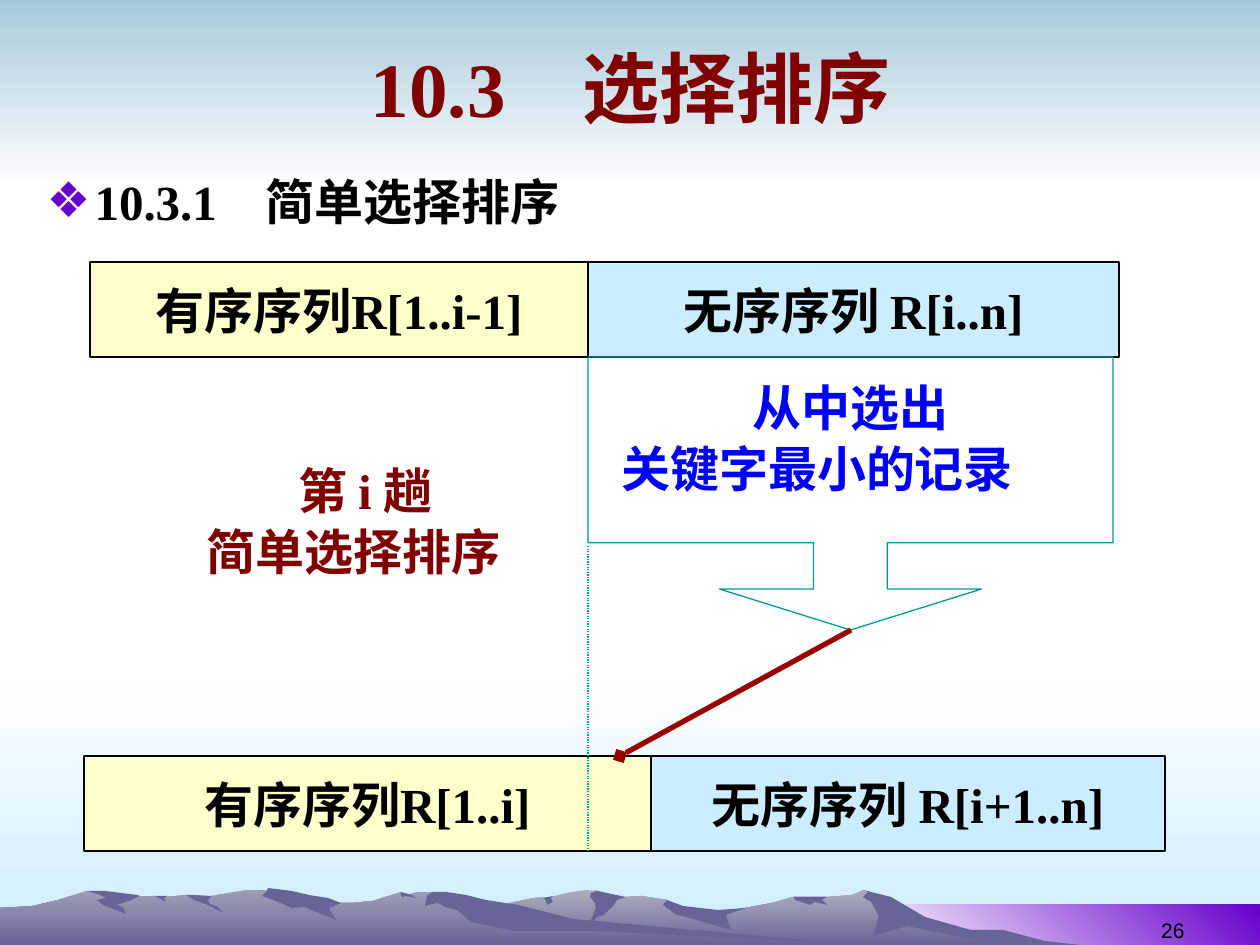
from dataclasses import dataclass

import pptx
import pptx.dml.color
import pptx.enum.dml
import pptx.enum.shapes
import pptx.enum.text
import pptx.oxml
import pptx.oxml.ns
import pptx.util

SCALE = 914400 / 126
WIDE, HIGH = 1260, 945

KIND = pptx.enum.shapes.MSO_SHAPE
ALIGN = pptx.enum.text.PP_ALIGN
ANCHOR = pptx.enum.text.MSO_ANCHOR
DASH = pptx.enum.dml.MSO_LINE


@dataclass(frozen=True)
class Theme:
    serif: str = "Times New Roman"
    sans: str = "Arial"
    head: int = 44
    text: int = 28
    small: int = 12
    ink: str = "000000"
    red: str = "800000"
    blue: str = "0000FF"
    teal: str = "009999"
    arrow: str = "990000"
    bullet: str = "6600CC"
    done: str = "FFFFCC"
    rest: str = "CCECFF"
    sky: tuple = ("A6C9DA", "FFFFFF")
    mist: tuple = ("FFFFFF", "CCECFF")
    glow: tuple = ("FFFFFF", "6600CC")
    far: tuple = ("AEAEC2", "676597")
    near: tuple = ("9F9EB8", "676597")
    shade: str = "676597"


def px(*sizes):
    return [round(size * SCALE) for size in sizes]


def rgb(code):
    return pptx.dml.color.RGBColor.from_string(code)


def node(tag, **attrs):
    item = pptx.oxml.parse_xml(f"<a:{tag} {pptx.oxml.ns.nsdecls('a')}/>")
    for name, value in attrs.items():
        item.set(name, value)
    return item


class Maker:
    def __init__(self, slide, theme):
        self.slide, self.theme = slide, theme

    def paint(self, shape, fill, line=None, angle=270):
        """Fill with a colour, a pair for a gradient, or None for no fill."""
        shape.shadow.inherit = False
        if fill is None:
            shape.fill.background()
        elif isinstance(fill, tuple):
            shape.fill.gradient()
            shape.fill.gradient_angle = angle
            for stop, code in zip(shape.fill.gradient_stops, fill):
                stop.color.rgb = rgb(code)
        else:
            shape.fill.solid()
            shape.fill.fore_color.rgb = rgb(fill)
        if line:
            shape.line.color.rgb = rgb(line)
            shape.line.width = pptx.util.Pt(0.75)
        else:
            shape.line.fill.background()

    def letter(self, shape, text, color, size=None, font=None, align=ALIGN.CENTER,
               anchor=ANCHOR.TOP, wrap=True, space=None, bold=True):
        """Set a shape's text and format its runs."""
        frame = shape.text_frame
        frame.text = text
        frame.word_wrap = wrap
        frame.auto_size = pptx.enum.text.MSO_AUTO_SIZE.NONE
        frame.vertical_anchor = anchor
        for para in frame.paragraphs:
            para.alignment = align
            para.line_spacing = space
            for run in para.runs:
                run.font.name = font or self.theme.serif
                run.font.size = pptx.util.Pt(size or self.theme.text)
                run.font.bold = bold
                run.font.color.rgb = rgb(color)
        return frame

    def place(self, holder, spot):
        """Move a placeholder to its spot, in front of what is drawn so far."""
        holder.left, holder.top, holder.width, holder.height = px(*spot)
        self.slide.shapes._spTree.append(holder._element)
        return holder

    def title(self, text, spot):
        holder = self.place(self.slide.shapes.title, spot)
        self.letter(holder, text, self.theme.red, self.theme.head,
                    anchor=ANCHOR.MIDDLE)

    def body(self, text, spot):
        holder = self.place(self.slide.placeholders[1], spot)
        frame = self.letter(holder, text, self.theme.ink, align=ALIGN.LEFT)
        for para in frame.paragraphs:
            para.space_before = pptx.util.Pt(0)
            props = para._p.get_or_add_pPr()
            dent = px(48)[0]
            props.set("marL", str(dent))
            props.set("indent", str(-dent))
            color = node("buClr")
            color.append(node("srgbClr", val=self.theme.bullet))
            props.append(color)
            props.append(node("buChar", char="❖"))

    def shape(self, spot, fill, line=None, kind=KIND.RECTANGLE, adjust=(), angle=270):
        shape = self.slide.shapes.add_shape(kind, *px(*spot))
        for i, value in enumerate(adjust):
            shape.adjustments[i] = value
        self.paint(shape, fill, line, angle)
        return shape

    def cell(self, text, spot, fill):
        shape = self.shape(spot, fill, self.theme.ink)
        self.letter(shape, text, self.theme.ink, anchor=ANCHOR.MIDDLE, wrap=False)

    def label(self, text, spot, color, **style):
        box = self.slide.shapes.add_textbox(*px(*spot))
        return self.letter(box, text, color, **style)

    def ridge(self, points, fill):
        pen = self.slide.shapes.build_freeform(*points[0], scale=SCALE)
        pen.add_line_segments(points[1:], close=True)
        self.paint(pen.convert_to_shape(), fill)

    def line(self, ends, color, width, dash=None, tip=None):
        link = self.slide.shapes.add_connector(
            pptx.enum.shapes.MSO_CONNECTOR.STRAIGHT, *px(*ends))
        link.line.color.rgb = rgb(color)
        link.line.width = pptx.util.Pt(width)
        if dash:
            link.line.dash_style = dash
        if tip:
            link.get_or_add_ln().append(node("tailEnd", type=tip))
        link._element.spPr.append(node("effectLst"))


FAR = [(1011, 940), (980, 932), (963, 930), (911, 914), (885, 897), (863, 890),
       (852, 895), (827, 897), (793, 897), (772, 903), (713, 914), (675, 908),
       (667, 900), (641, 896), (612, 898), (597, 891), (586, 890), (567, 893),
       (552, 897), (534, 898), (510, 903), (496, 906), (447, 914), (412, 921),
       (349, 939), (325, 945), (1034, 945)]
NEAR = [(869, 945), (840, 945), (544, 922), (446, 893), (417, 892), (407, 895),
        (401, 892), (373, 901), (352, 903), (341, 903), (328, 901), (297, 903),
        (281, 892), (267, 890), (246, 890), (234, 892), (212, 896), (202, 897),
        (186, 895), (166, 897), (155, 896), (118, 897), (86, 891), (71, 896),
        (58, 900), (33, 906), (18, 907), (0, 908), (0, 945)]
FARSHADE = [
    [(1003, 930), (971, 930), (925, 917), (891, 897), (863, 890), (868, 892),
     (863, 897), (871, 902), (879, 916), (873, 936), (907, 926), (998, 945),
     (1081, 945), (1045, 941)],
    [(593, 890), (597, 891), (591, 893), (590, 897), (595, 903), (596, 908),
     (586, 932), (597, 917), (604, 915), (614, 905), (617, 900), (626, 897)],
    [(667, 900), (663, 905), (675, 914), (731, 930), (726, 915), (746, 908),
     (718, 910), (683, 906)],
    [(819, 897), (794, 897), (795, 900), (810, 905), (815, 902), (828, 905),
     (822, 900), (827, 897)],
    [(546, 901), (544, 898), (553, 896), (551, 898), (553, 902), (547, 905)],
]
NEARSHADE = [
    [(267, 891), (262, 896), (276, 901), (292, 908), (304, 907), (336, 920),
     (329, 908), (341, 903), (328, 898), (309, 895), (292, 891), (268, 888)],
    [(466, 895), (446, 892), (433, 892), (427, 896), (425, 906), (438, 903),
     (445, 907), (457, 910), (471, 922), (513, 931), (595, 931), (869, 945),
     (861, 945), (573, 919), (538, 910), (518, 905), (486, 900)],
    [(401, 895), (401, 892), (412, 895), (416, 898), (406, 896), (402, 897)],
    [(194, 895), (212, 896), (208, 900), (210, 904), (218, 907), (222, 912),
     (208, 905), (194, 900), (186, 895)],
    [(168, 896), (164, 898), (166, 902), (159, 898), (155, 896)],
    [(137, 895), (140, 896), (132, 900), (117, 905), (123, 907), (126, 914),
     (103, 905), (97, 900), (106, 898), (100, 895), (87, 891), (105, 891)],
]


def main():
    deck = pptx.Presentation()
    deck.slide_width, deck.slide_height = px(WIDE, HIGH)
    theme = Theme()
    make = Maker(deck.slides.add_slide(deck.slide_layouts[1]), theme)

    make.shape((0, 672, WIDE, 273), theme.mist)
    make.shape((0, 0, WIDE, 189), theme.sky)
    make.shape((861, 905, 399, 40), theme.glow, angle=45)
    for ridge, fill, shades in ((FAR, theme.far, FARSHADE),
                                (NEAR, theme.near, NEARSHADE)):
        make.ridge(ridge, fill)
        for shade in shades:
            make.ridge(shade, theme.shade)

    make.label("26", (903, 886, 294, 63), theme.ink, size=theme.small,
               font=theme.sans, align=ALIGN.RIGHT, anchor=ANCHOR.BOTTOM, bold=False)
    make.title("10.3　选择排序", (64, 16, 1134, 141))
    make.body("10.3.1　简单选择排序", (34, 165, 1191, 714))

    split, top, low, tall = 588, 262, 756, 95
    make.cell("有序序列R[1..i-1]", (90, top, split - 90, tall), theme.done)
    make.cell("无序序列 R[i..n]", (split, top, 531, tall), theme.rest)
    turn = make.label("第 i 趟\n简单选择排序", (140, 451, 427, 136), theme.red, space=1.05)
    turn.paragraphs[0]._p.get_or_add_pPr().set("marL", str(px(24)[0]))
    pick = make.label("从中选出\n关键字最小的记录", (609, 368, 483, 136), theme.blue,
                      space=1.05)
    pick.paragraphs[1].alignment = ALIGN.LEFT
    make.shape((split, top + tall, 525, 273), None, theme.teal,
               KIND.DOWN_ARROW_CALLOUT, (0.27, 0.48, 0.15, 0.68))
    make.cell("有序序列R[1..i]", (84, low, 567, tall), theme.done)
    make.cell("无序序列 R[i+1..n]", (651, low, 514, tall), theme.rest)
    make.line((851, 630, 620, low), theme.arrow, 3, tip="diamond")
    make.line((split, 546, split, low + tall), theme.teal, 0.75, DASH.ROUND_DOT)

    deck.save("out.pptx")


if __name__ == "__main__":
    main()
